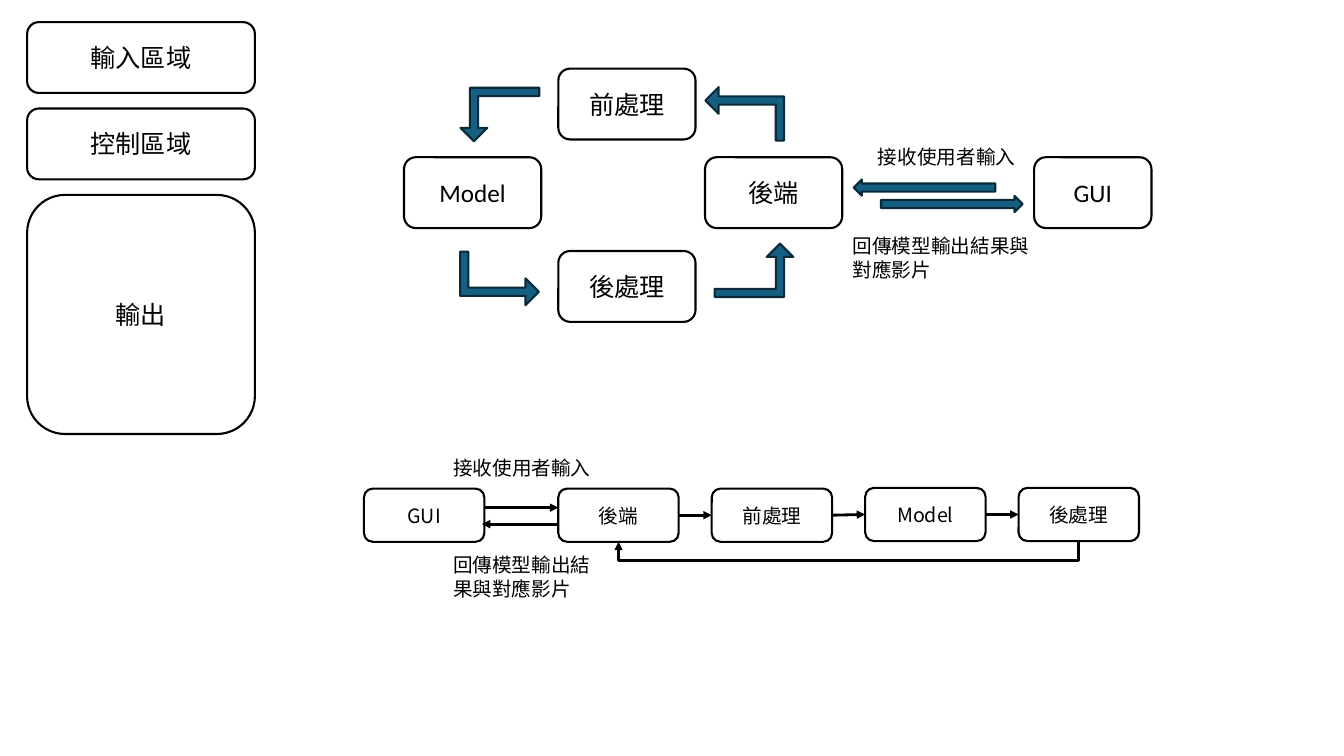
from lxml.etree import SubElement
from pptx import Presentation
from pptx.dml.color import RGBColor
from pptx.enum.shapes import MSO_CONNECTOR as LINK, MSO_SHAPE as SHAPE
from pptx.enum.text import MSO_ANCHOR, MSO_AUTO_SIZE, PP_ALIGN
from pptx.oxml.ns import qn
from pptx.util import Pt

CJK = "Noto Sans CJK SC"
BLACK, WHITE, TEAL, DARK_TEAL = "000000", "FFFFFF", "156082", "092A39"


def color(value):
    return RGBColor.from_string(value)


def format_text(frame, size, font):
    for paragraph in frame.paragraphs:
        for run in paragraph.runs:
            run.font.size = Pt(size)
            run.font.name = font
            run.font.color.rgb = color(BLACK)
            SubElement(run.font._element, qn("a:ea")).set("typeface", CJK)


def add_filled(shapes, kind, left, top, width, height, fill, outline):
    shape = shapes.add_shape(kind, Pt(left), Pt(top), Pt(width), Pt(height))
    shape.shadow.inherit = False
    shape.fill.solid()
    shape.fill.fore_color.rgb = color(fill)
    shape.line.color.rgb = color(outline)
    shape.line.width = Pt(1.5)
    return shape


def add_stage(shapes, text, left, top, width, height, size=18, font=CJK):
    stage = add_filled(shapes, SHAPE.ROUNDED_RECTANGLE, left, top, width, height, WHITE, BLACK)
    frame = stage.text_frame
    frame.text = text
    frame.vertical_anchor = MSO_ANCHOR.MIDDLE
    frame.paragraphs[0].alignment = PP_ALIGN.CENTER
    format_text(frame, size, font)
    return stage


def add_block_arrow(shapes, kind, left, top, width, height, rotation=0):
    arrow = add_filled(shapes, kind, left, top, width, height, TEAL, DARK_TEAL)
    arrow.rotation = rotation
    return arrow


def add_label(shapes, text, left, top, width, height, wrap=False):
    label = shapes.add_textbox(Pt(left), Pt(top), Pt(width), Pt(height))
    frame = label.text_frame
    frame.text = text
    frame.word_wrap = wrap
    frame.auto_size = MSO_AUTO_SIZE.SHAPE_TO_FIT_TEXT
    format_text(frame, 14, CJK)


def add_link(shapes, x1, y1, x2, y2, kind=LINK.STRAIGHT):
    link = shapes.add_connector(kind, Pt(x1), Pt(y1), Pt(x2), Pt(y2))
    link.line.color.rgb = color(BLACK)
    link.line.width = Pt(2)
    SubElement(link.line._get_or_add_ln(), qn("a:tailEnd")).set("type", "triangle")
    SubElement(link._element.spPr, qn("a:effectLst"))
    return link


def add_return_link(shapes, x1, y1, x2, y2, lane_y):
    """Elbow that drops from the last stage to a lane and rises into an earlier one."""
    drop, span = y2 - y1, x1 - x2
    left, top = (x1 + x2 - drop) / 2, (y1 + y2 - span) / 2
    link = add_link(shapes, left, top, left + drop, top + span, LINK.ELBOW)
    link._element.spPr.find(qn("a:xfrm")).set("rot", "5400000")
    guides = link._element.spPr.find(qn("a:prstGeom")).get_or_add_avLst()
    bend = SubElement(guides, qn("a:gd"))
    bend.set("name", "adj1")
    bend.set("fmla", f"val {round((lane_y - y1) / drop * 100000)}")


def add_screen_layout(shapes):
    for text, top, height in [("輸入區域", 15.8, 50.6), ("控制區域", 77.5, 50.6),
                              ("輸出", 139.2, 170.8)]:
        add_stage(shapes, text, 19.4, top, 162.7, height, font="Cabin")


def add_cycle(shapes):
    # Stages
    for text, left, top, width, font in [
            ("GUI", 738.7, 112.3, 83.8, "Calibri"), ("後端", 503.6, 112.3, 98, CJK),
            ("後處理", 398.8, 179.3, 98, CJK), ("前處理", 398.8, 49, 98, CJK),
            ("Model", 288.6, 112.3, 98, "Calibri")]:
        add_stage(shapes, text, left, top, width, 50.6, font=font)

    # Exchange between interface and back end
    for left, top, rotation in [(609.8, 128.2, 0), (629.3, 139.9, 180)]:
        add_block_arrow(shapes, SHAPE.LEFT_ARROW, left, top, 101.1, 11.6, rotation)
    add_label(shapes, "接收使用者輸入", 620, 100, 113.8, 24.5)
    add_label(shapes, "回傳模型輸出結果與\n對應影片", 602, 163.6, 141.8, 41)

    # Bent arrows around the cycle
    for left, top, rotation in [(510.5, 174, 0), (512.8, 53.2, 270),
                                (337.7, 170.8, 90), (329, 62.7, 180)]:
        width, height = (38.2, 56.2) if rotation % 180 else (56.2, 38.2)
        arrow = add_block_arrow(shapes, SHAPE.BENT_UP_ARROW, left, top, width, height, rotation)
        for index, share in enumerate((0.153, 0.25, 0.25)):
            arrow.adjustments[index] = share


def add_pipeline(shapes):
    # Stages
    width, height, step = 86, 38, 109.6
    backend_left = 398.8
    add_stage(shapes, "GUI", 260, 349, width, height, 14)
    stages = [add_stage(shapes, text, backend_left + i * step, top, width, height, 14)
              for i, (text, top) in enumerate([("後端", 349), ("前處理", 349),
                                               ("Model", 348.5), ("後處理", 348.5)])]

    # Forward links and the way back
    for source, target in zip(stages, stages[1:]):
        link = add_link(shapes, 0, 0, 0, 0)
        link.begin_connect(source, 3)
        link.end_connect(target, 1)
    backend_center = backend_left + width / 2
    add_return_link(shapes, backend_center + 3 * step, 386.5, backend_center, 387, 400.3)

    # Exchange between interface and back end
    add_link(shapes, 346, 362.6, backend_left, 362.6)
    add_link(shapes, backend_left, 374.4, 344.2, 374.4)
    add_label(shapes, "接收使用者輸入", 316.6, 321.8, 113.8, 24.5)
    add_label(shapes, "回傳模型輸出結果與對應影片", 316.6, 391.7, 120.2, 41, wrap=True)


def main():
    deck = Presentation()
    deck.slide_width, deck.slide_height = Pt(960), Pt(540)
    slide = deck.slides.add_slide(deck.slide_layouts[6])
    add_screen_layout(slide.shapes)
    add_cycle(slide.shapes)
    add_pipeline(slide.shapes.add_group_shape().shapes)
    deck.save("out.pptx")


if __name__ == "__main__":
    main()
